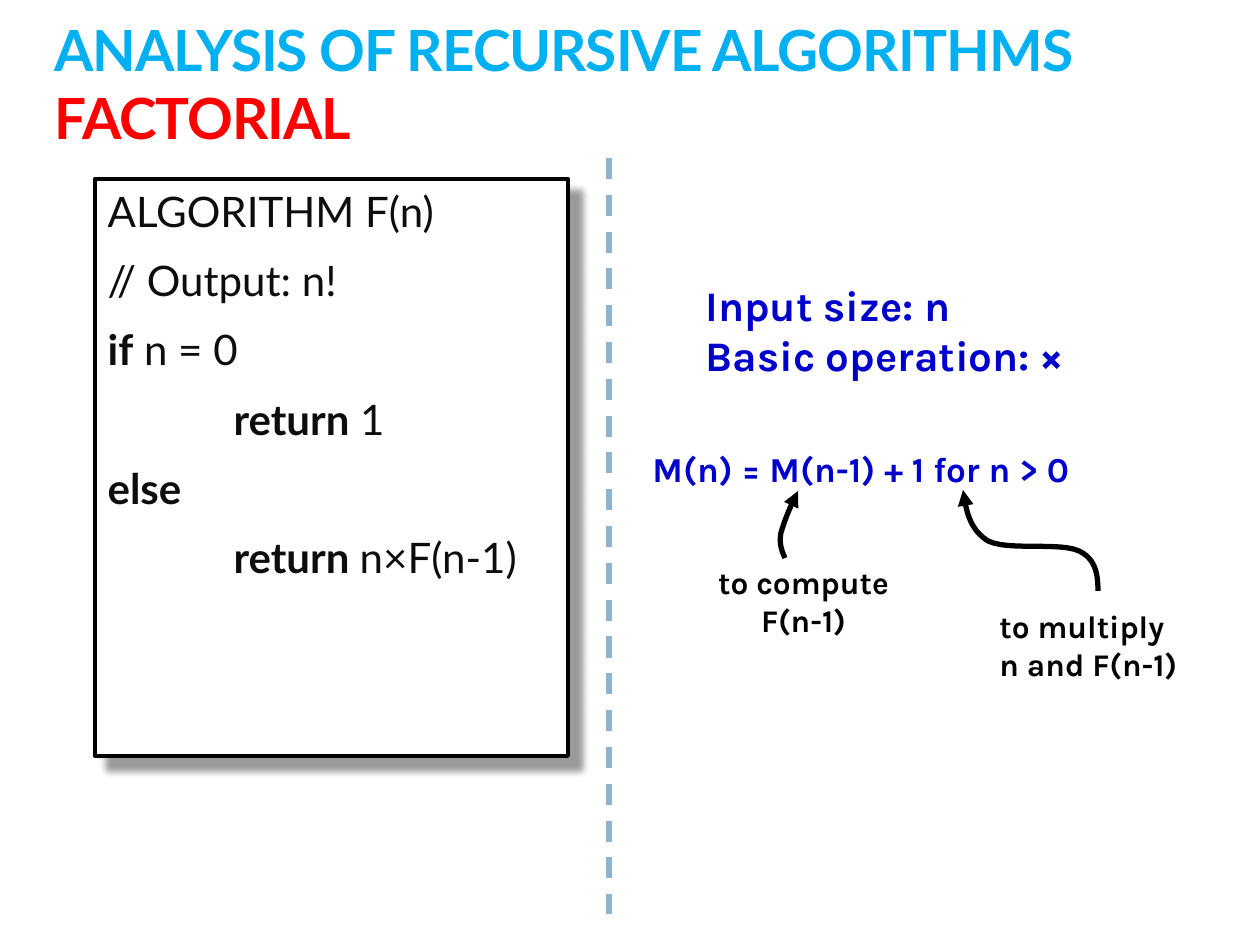
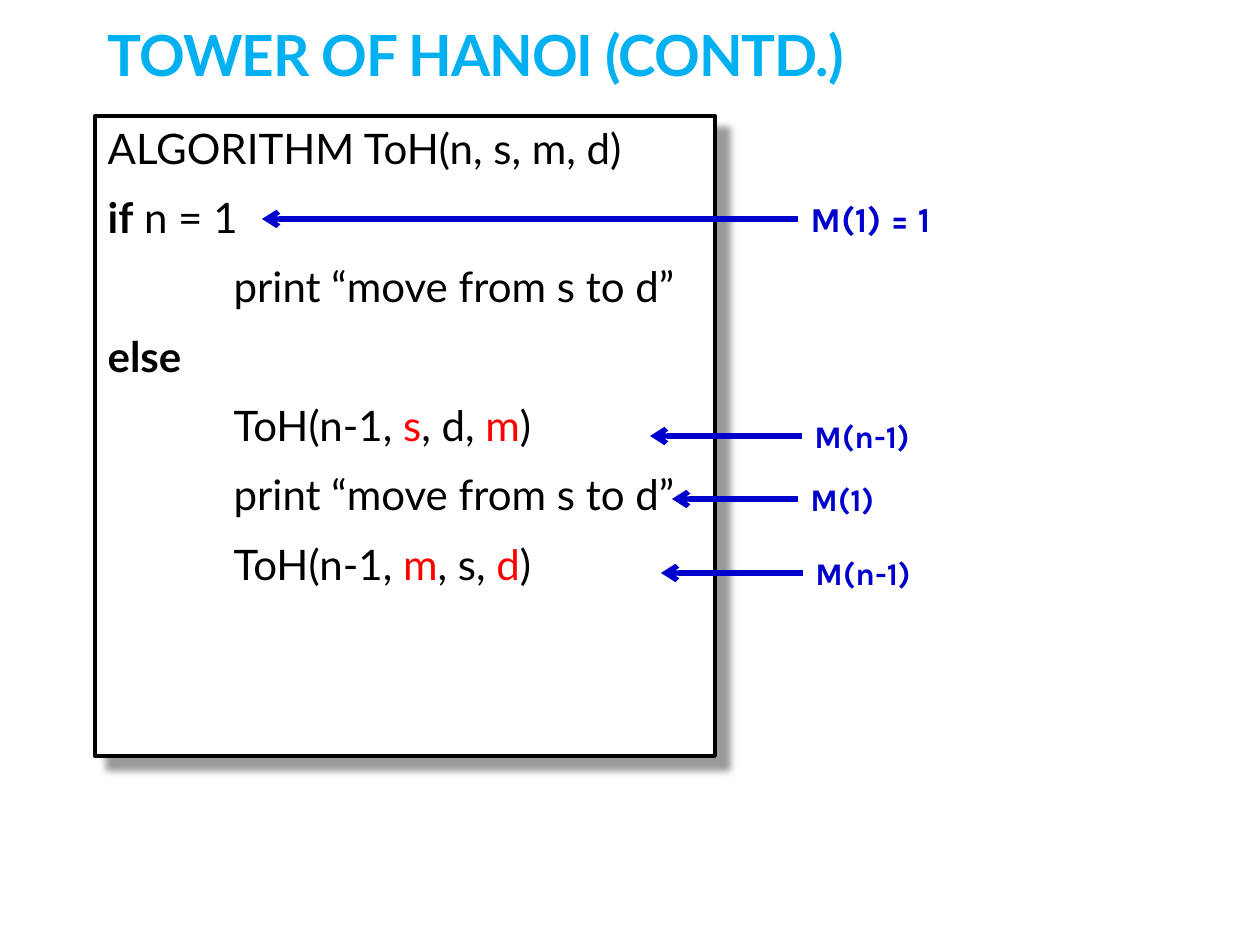
from dataclasses import dataclass

from lxml import etree
from pptx import Presentation
from pptx import util as u
from pptx.dml.color import RGBColor
from pptx.enum import dml, shapes, text
from pptx.oxml import ns

PX_PER_INCH = 126


@dataclass(frozen=True)
class Theme:
    heading_font: str = "Lato"
    label_font: str = "Karla"
    cyan: str = "00B0F0"
    red: str = "FF0000"
    blue: str = "0000CC"
    divider: str = "8FB2CF"
    black: str = "000000"
    soft_black: str = "0D0D0D"
    white: str = "FFFFFF"
    title_size: float = 32.4
    code_size: int = 24
    formula_size: int = 20
    note_size: int = 18
    rule_width: int = 3
    frame_width: float = 2.25


THEME = Theme()


# Basic helpers
def px(length):
    return u.Emu(round(length * u.Inches(1) / PX_PER_INCH))


def rgb(color):
    return RGBColor.from_string(color)


def add_xml(parent, tag, **attributes):
    return etree.SubElement(parent, ns.qn(tag), attributes)


def add_run(paragraph, words, font, size, color, bold=False):
    run = paragraph.add_run()
    run.text = words
    run.font.name = font
    run.font.size = u.Pt(size)
    run.font.bold = bold
    run.font.color.rgb = rgb(color)
    return run


def place(shape, left, top, width, height):
    shape.left, shape.top = px(left), px(top)
    shape.width, shape.height = px(width), px(height)


def style_line(shape, color, arrowhead=None):
    shape.line.color.rgb = rgb(color)
    shape.line.width = u.Pt(THEME.rule_width)
    if arrowhead:
        add_xml(shape.element.spPr.find(ns.qn("a:ln")), "a:tailEnd", type=arrowhead)


# Title and code placeholders
def set_title(slide, box, lines):
    title = slide.shapes.title
    place(title, *box)
    frame = title.text_frame
    frame.auto_size = text.MSO_AUTO_SIZE.NONE
    frame.vertical_anchor = text.MSO_ANCHOR.BOTTOM
    paragraph = frame.paragraphs[0]
    paragraph.alignment = text.PP_ALIGN.LEFT
    for number, (words, color) in enumerate(lines):
        if number:
            paragraph.add_line_break()
        run = add_run(paragraph, words, THEME.heading_font,
                      THEME.title_size, color, bold=True)
        run.font._element.set("spc", "-60")


def add_frame_shadow(shape):
    shape.shadow.inherit = False
    effects = shape.element.spPr.find(ns.qn("a:effectLst"))
    shadow = add_xml(effects, "a:outerShdw", blurRad=str(u.Pt(4)),
                     dist=str(u.Pt(10)), dir=str(45 * 60000),
                     algn="tl", rotWithShape="0")
    color = add_xml(shadow, "a:srgbClr", val=THEME.black)
    add_xml(color, "a:alpha", val="40000")


def set_code(slide, box, lines, color):
    """Each line is (indent level, runs); a run is plain words or (words, style)."""
    body = slide.placeholders[1]
    place(body, *box)
    body.fill.solid()
    body.fill.fore_color.rgb = rgb(THEME.white)
    body.line.color.rgb = rgb(THEME.black)
    body.line.width = u.Pt(THEME.frame_width)
    add_frame_shadow(body)
    frame = body.text_frame
    frame.auto_size = text.MSO_AUTO_SIZE.NONE
    for number, (level, runs) in enumerate(lines):
        paragraph = frame.add_paragraph() if number else frame.paragraphs[0]
        properties = paragraph._p.get_or_add_pPr()
        properties.set("marL", str(px(level * PX_PER_INCH)))
        properties.set("indent", "0")
        add_xml(properties, "a:buNone")
        paragraph.space_before = u.Pt(THEME.code_size * 0.2 if number else 0)
        paragraph.space_after = u.Pt(6)
        for item in runs:
            words, style = (item, "") if isinstance(item, str) else item
            add_run(paragraph, words, THEME.heading_font, THEME.code_size,
                    THEME.red if style == "red" else color, style == "bold")


# Labels, lines and arrows
def add_label(slide, box, lines, size, color, alignment=text.PP_ALIGN.LEFT):
    label = slide.shapes.add_textbox(*map(px, box))
    frame = label.text_frame
    frame.word_wrap = False
    frame.auto_size = text.MSO_AUTO_SIZE.SHAPE_TO_FIT_TEXT
    for number, words in enumerate(lines):
        paragraph = frame.add_paragraph() if number else frame.paragraphs[0]
        paragraph.alignment = alignment
        add_run(paragraph, words, THEME.label_font, size, color, bold=True)
    return label


def add_straight(slide, start, end, color, arrowhead=None):
    line = slide.shapes.add_connector(
        shapes.MSO_CONNECTOR.STRAIGHT, *map(px, start + end))
    style_line(line, color, arrowhead)
    add_xml(line.element.spPr, "a:effectLst")
    return line


def curve_points(start, segments, steps=12):
    """Points along a chain of cubic Bezier segments."""
    for first, second, end in segments:
        for step in range(1, steps + 1):
            t = step / steps
            weights = ((1 - t) ** 3, 3 * t * (1 - t) ** 2, 3 * t * t * (1 - t), t ** 3)
            corners = (start, first, second, end)
            yield tuple(px(sum(w * c[axis] for w, c in zip(weights, corners)))
                        for axis in (0, 1))
        start = end


def add_curved_arrow(slide, start, segments):
    builder = slide.shapes.build_freeform(*map(px, start))
    builder.add_line_segments(list(curve_points(start, segments)), close=False)
    arrow = builder.convert_to_shape()
    arrow.fill.background()
    arrow.shadow.inherit = False
    style_line(arrow, THEME.black, "triangle")


def add_cost(slide, words, box, tip, size):
    """A cost label with an arrow back to its code line."""
    left, top, _, height = box
    middle = top + height // 2
    label = add_label(slide, box, [words], size, THEME.blue)
    arrow = add_straight(slide, (left, middle), (tip, middle), THEME.blue, "arrow")
    arrow.begin_connect(label, 1)


# Slides
def build_factorial(slide):
    set_title(slide, (42, 10, 1113, 147),
              [("ANALYSIS OF RECURSIVE ALGORITHMS", THEME.cyan),
               ("FACTORIAL", THEME.red)])
    set_code(slide, (95, 179, 473, 577), [
        (0, ["ALGORITHM F(n)"]),
        (0, ["// Output: n!"]),
        (0, [("if", "bold"), " n = 0"]),
        (1, [("return", "bold"), " 1"]),
        (0, [("else", "bold")]),
        (1, [("return ", "bold"), "n×F(n-1)"]),
    ], THEME.soft_black)

    add_label(slide, (693, 273, 401, 115), ["Input size: n", "Basic operation: ×"],
              THEME.code_size, THEME.blue)
    add_label(slide, (640, 441, 523, 55), ["M(n) = M(n-1) + 1 for n > 0"],
              THEME.formula_size, THEME.blue)
    add_label(slide, (699, 557, 209, 89), ["to compute", "F(n-1)"],
              THEME.note_size, THEME.black, text.PP_ALIGN.CENTER)
    add_label(slide, (987, 601, 221, 89), ["to multiply", "n and F(n-1)"],
              THEME.note_size, THEME.black)

    add_curved_arrow(slide, (785, 558), [
        ((782, 551), (779, 544), (781, 533)),
        ((784, 522), (790, 507), (798, 491)),
    ])
    add_curved_arrow(slide, (1098, 591), [
        ((1098, 575), (1096, 559), (1079, 551)),
        ((1060, 542), (1008, 551), (988, 541)),
        ((969, 529), (966, 510), (963, 490)),
    ])
    divider = add_straight(slide, (609, 158), (609, 914), THEME.divider)
    divider.line.dash_style = dml.MSO_LINE.DASH


def build_hanoi(slide):
    set_title(slide, (95, 21, 946, 73), [("TOWER OF HANOI (CONTD.)", THEME.cyan)])
    print_move = (1, ["print “move from s to d”"])
    set_code(slide, (95, 116, 620, 640), [
        (0, ["ALGORITHM ToH(n, s, m, d)"]),
        (0, [("if", "bold"), " n = 1"]),
        print_move,
        (0, [("else", "bold")]),
        (1, ["ToH(n-1, ", ("s", "red"), ", d, ", ("m", "red"), ")"]),
        print_move,
        (1, ["ToH(n-1, ", ("m", "red"), ", s, ", ("d", "red"), ")"]),
    ], THEME.black)

    add_cost(slide, "M(1) = 1", (798, 191, 178, 56), 262, THEME.formula_size)
    for words, left, top, width, tip in (
            ("M(n-1)", 802, 411, 132, 650),
            ("M(1)", 798, 474, 96, 672),
            ("M(n-1)", 803, 548, 132, 661)):
        add_cost(slide, words, (left, top, width, 50), tip, THEME.note_size)


def main():
    presentation = Presentation()
    presentation.slide_width, presentation.slide_height = u.Inches(10), u.Inches(7.5)
    title_and_content = presentation.slide_layouts[1]
    for build in (build_factorial, build_hanoi):
        build(presentation.slides.add_slide(title_and_content))
    presentation.save("out.pptx")


if __name__ == "__main__":
    main()
